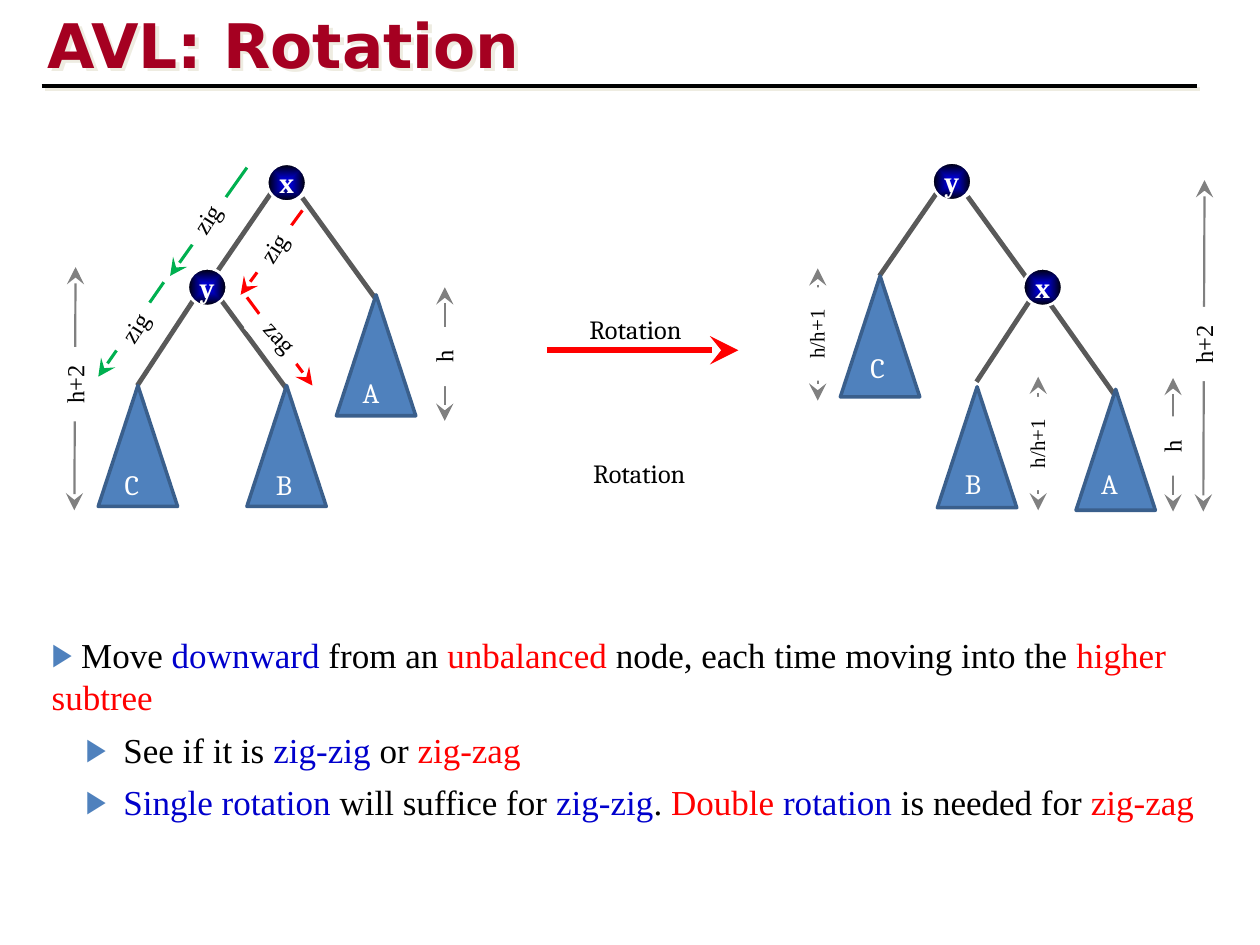
"""Build the AVL rotation slide: two trees, their height marks and the rules."""
from lxml.etree import SubElement
from pptx import Presentation
from pptx.dml.color import RGBColor
from pptx.enum.shapes import MSO_CONNECTOR, MSO_SHAPE
from pptx.enum.text import MSO_ANCHOR, MSO_AUTO_SIZE, PP_ALIGN
from pptx.oxml import parse_xml
from pptx.oxml.ns import nsdecls, qn
from pptx.util import Pt

PX = 9144
BLACK = RGBColor(0, 0, 0)
WHITE = RGBColor(255, 255, 255)
RED = RGBColor(255, 0, 0)
BLUE = RGBColor(0, 0, 0xCC)
GREEN = RGBColor(0, 0xB0, 0x50)
WINE = RGBColor(0xA5, 0, 0x21)
DARK = RGBColor(0x59, 0x59, 0x59)
GRAY = RGBColor(0x80, 0x80, 0x80)
STEEL = RGBColor(0x4F, 0x81, 0xBD)
EDGE = RGBColor(0x3A, 0x5F, 0x8C)
SERIF = "Times New Roman"
SHADE = (f'<a:effectLst {nsdecls("a")}><a:outerShdw dist="35921" dir="2700000" algn="ctr" '
         'rotWithShape="0"><a:srgbClr val="EEECE1"/></a:outerShdw></a:effectLst>')
GLOW = (f'<a:gradFill {nsdecls("a")} rotWithShape="1"><a:gsLst>'
        '<a:gs pos="0"><a:srgbClr val="0000CC"/></a:gs>'
        '<a:gs pos="21000"><a:srgbClr val="0000CC"/></a:gs>'
        '<a:gs pos="100000"><a:srgbClr val="000000"/></a:gs></a:gsLst>'
        '<a:path path="shape"><a:fillToRect l="50000" t="50000" r="50000" b="50000"/>'
        '</a:path></a:gradFill>')


def write(par, text, size=16, color=BLACK, font="Cambria", bold=False, align=PP_ALIGN.LEFT):
    par.alignment = align
    run = par.add_run()
    run.text = text
    run.font.size = Pt(size)
    run.font.name = font
    run.font.bold = bold
    run.font.color.rgb = color


def link(start, end, color, width, ends=()):
    line = shapes.add_connector(MSO_CONNECTOR.STRAIGHT, *[n * PX for n in start + end])
    line.line.color.rgb = color
    line.line.width = Pt(width)
    for tag in ends:
        SubElement(line.line._get_or_add_ln(), qn(tag), type="stealth", w="lg", len="lg")
    props = line._element.spPr
    SubElement(props, qn("a:effectLst"))
    return props


deck = Presentation()
deck.slide_width, deck.slide_height = 1000 * PX, 750 * PX
slide = deck.slides.add_slide(deck.slide_layouts[1])
shapes = slide.shapes

title, body = slide.placeholders
for item, area in ((title, (28, 1, 850, 67)), (body, (31, 498, 941, 204))):
    item.left, item.top, item.width, item.height = [n * PX for n in area]
    item.text_frame.auto_size = MSO_AUTO_SIZE.NONE
title.text_frame.vertical_anchor = MSO_ANCHOR.MIDDLE
title.fill.background()
title._element.spPr.append(parse_xml(SHADE))
write(title.text_frame.paragraphs[0], "AVL: Rotation", size=35.1, color=WINE,
      font="DejaVu Sans", bold=True)
rule = link((33, 68), (950, 68), BLACK, 2.25)
rule.replace(rule.find(qn("a:effectLst")), parse_xml(SHADE))

rows = [
    [(" Move ", BLACK), ("downward", BLUE), (" from an ", BLACK), ("unbalanced", RED),
     (" node, each time moving into the ", BLACK), ("higher subtree", RED)],
    [(" See if it is ", BLACK), ("zig-zig", BLUE), (" or ", BLACK), ("zig-zag", RED)],
    [(" ", BLACK), ("Single rotation", BLUE), (" will suffice for ", BLACK),
     ("zig-zig", BLUE), (". ", BLACK), ("Double ", RED), ("rotation ", BLUE),
     ("is needed for ", BLACK), ("zig-zag", RED)],
]
frame = body.text_frame
for i, row in enumerate(rows):
    par = frame.paragraphs[0] if i == 0 else frame.add_paragraph()
    par.level = min(i, 1)
    par.space_before = Pt(6)
    props = par._p.get_or_add_pPr()
    props.set("marL", str(50 * PX * par.level))
    props.set("indent", str(-23 * PX * par.level))
    SubElement(SubElement(props, qn("a:buClr")), qn("a:srgbClr"), val=str(STEEL))
    SubElement(props, qn("a:buSzPct"), val="90000")
    SubElement(props, qn("a:buChar"), char="▶")
    for text, color in row:
        write(par, text, size=20, color=color, font=SERIF)

for start, end in (
    ((170, 219), (218, 149)), ((298, 237), (240, 157)),
    ((109, 306), (153, 239)), ((227, 308), (168, 228)),
    ((698, 219), (747, 148)), ((826, 236), (768, 156)),
    ((775, 303), (819, 236)), ((885, 314), (834, 242)),
):
    link(start, end, DARK, 2.75)

for text, left, top in (("x", 212, 130), ("y", 149, 213), ("y", 740, 129), ("x", 812, 213)):
    node = shapes.add_shape(MSO_SHAPE.OVAL, left * PX, top * PX, 31 * PX, 30 * PX)
    node.shadow.inherit = False
    node.line.color.rgb = WHITE
    node.line.width = Pt(1.5)
    node._element.spPr.insert(2, parse_xml(GLOW))
    node.text_frame.word_wrap = False
    node.text_frame.vertical_anchor = MSO_ANCHOR.MIDDLE
    write(node.text_frame.paragraphs[0], text, color=WHITE, bold=True, align=PP_ALIGN.CENTER)

notes = [("Rotation", 458, 244, 15, BLACK), ("Rotation", 461, 358, 15, BLACK)]
for text, left, top, x, y in (
    ("B", 196, 306, 209, 366), ("C", 78, 306, 89, 366), ("A", 267, 234, 278, 293),
    ("C", 667, 219, 681, 273), ("B", 744, 307, 756, 365), ("A", 854, 309, 864, 365),
):
    tree = shapes.add_shape(MSO_SHAPE.ISOSCELES_TRIANGLE, left * PX, top * PX, 63 * PX, 96 * PX)
    tree.shadow.inherit = False
    tree.fill.solid()
    tree.fill.fore_color.rgb = STEEL
    tree.line.color.rgb = EDGE
    tree.line.width = Pt(2)
    notes.append((text, x, y, 16, WHITE))

for text, left, top, size, color in notes:
    wide = 104 if size == 15 else 45
    box = shapes.add_textbox(left * PX, top * PX, wide * PX, 36 * PX)
    box.text_frame.word_wrap = True
    write(box.text_frame.paragraphs[0], text, size=size, color=color)

both = ("a:headEnd", "a:tailEnd")
tail = ("a:tailEnd",)
link((434, 278), (586, 278), RED, 3.25, tail)
for start, end, color, text, left, top, wide, turn in (
    ((353, 228), (353, 334), GRAY, "h", 329, 266, 47, 270),
    ((60, 212), (59, 405), GRAY, "h+2", 30, 288, 59, 270),
    ((931, 300), (931, 406), GRAY, "h", 907, 337, 47, 270),
    ((956, 143), (955, 406), GRAY, "h+2", 926, 256, 59, 270),
    ((649, 213), (649, 318), GRAY, "h/h+1", 611, 250, 74, 270),
    ((824, 299), (824, 405), GRAY, "h/h+1", 786, 337, 74, 270),
    ((196, 133), (135, 219), GREEN, "zig", 141, 157, 46, 302.7),
    ((130, 224), (78, 299), GREEN, "zig", 84, 243, 46, 302.7),
    ((240, 167), (191, 234), RED, "zig", 194, 180, 46, 302.7),
    ((196, 236), (248, 306), RED, "zag", 198, 250, 49, 47.9),
):
    mark = color == GRAY
    link(start, end, color, 1.25 if mark else 1.75, both if mark else tail)
    small = text == "h/h+1"
    tag = shapes.add_shape(MSO_SHAPE.RECTANGLE, left * PX, top * PX, wide * PX,
                           (30 if small else 34) * PX)
    tag.shadow.inherit = False
    tag.rotation = turn
    tag.fill.solid()
    tag.fill.fore_color.rgb = WHITE
    tag.line.fill.background()
    tag.text_frame.vertical_anchor = MSO_ANCHOR.TOP
    write(tag.text_frame.paragraphs[0], text, size=12 if small else 14, font=SERIF,
          align=PP_ALIGN.CENTER)

deck.save("out.pptx")
